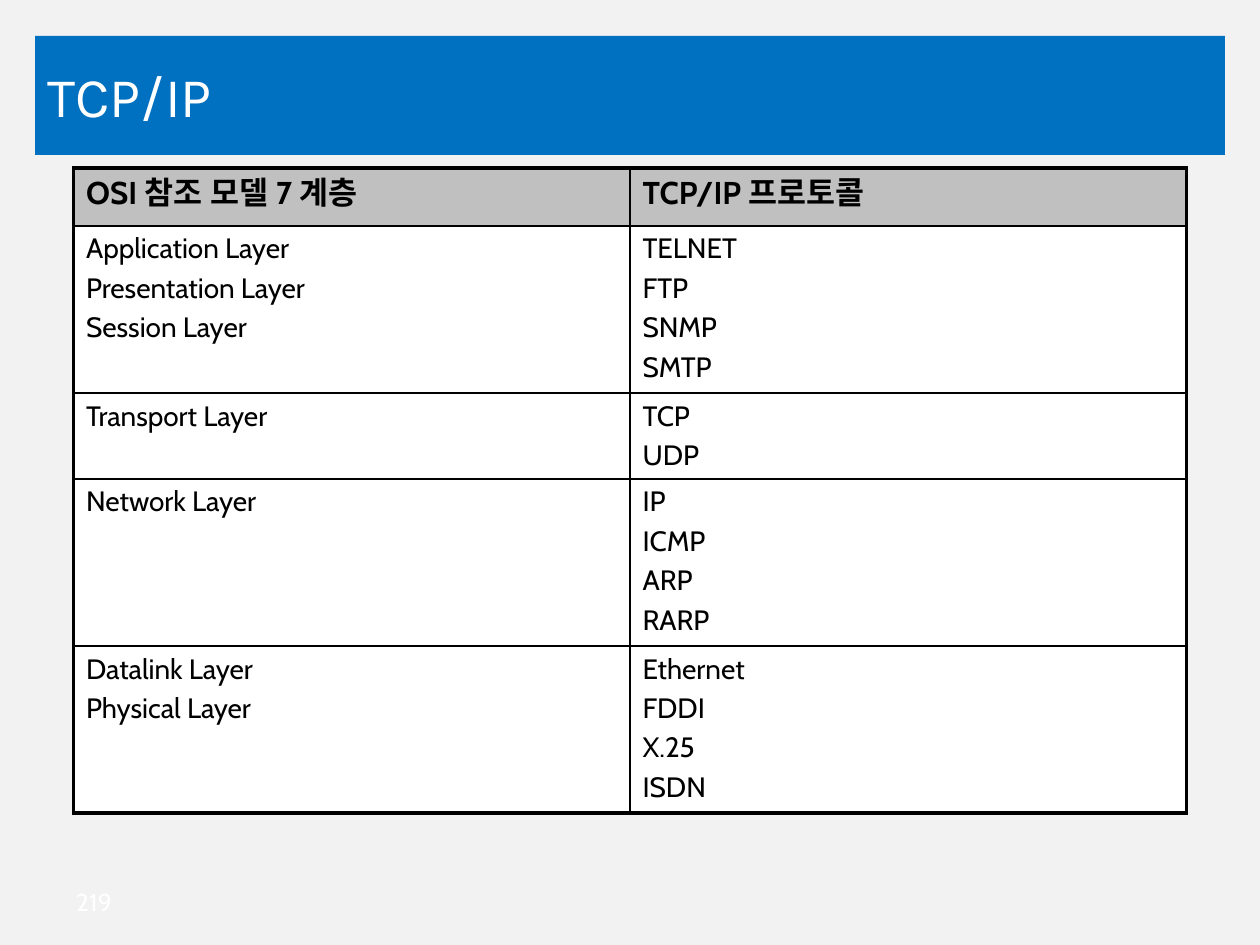
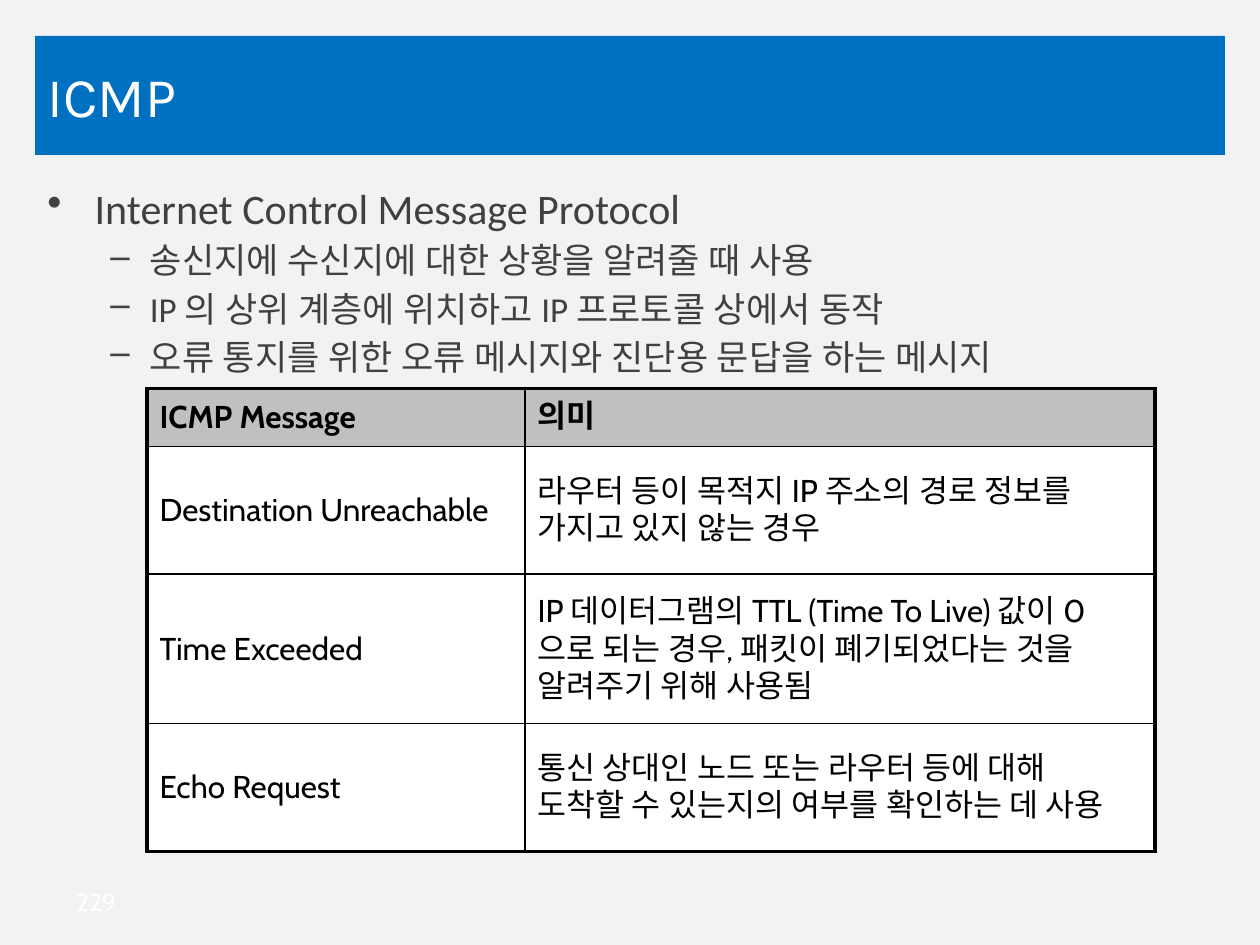
from dataclasses import dataclass

from lxml.etree import SubElement
from pptx import Presentation
from pptx.dml.color import RGBColor
from pptx.enum.text import MSO_ANCHOR, PP_ALIGN
from pptx.oxml.ns import qn
from pptx.util import Pt


@dataclass(frozen=True)
class Theme:
    page: str = "F2F2F2"
    band: str = "0070C0"
    light: str = "FFFFFF"
    header: str = "C0C0C0"
    ink: str = "000000"
    body: str = "404040"
    title_font: str = "Karla"
    table_font: str = "Cabin"
    body_font: str = "Calibri"
    korean_font: str = "Karla"
    title_size: int = 32
    point_size: int = 24
    subpoint_size: int = 20
    header_size: int = 18
    number_size: int = 14
    outer_line: float = 2.25
    inner_line: float = 1


THEME = Theme()
BAND = (20, 20.5, 680, 68)
NUMBER = (36.5, 501.5, 100, 27)
POINTS = (20, 100.5, 680, 120)

SLIDES = [
    {
        "title": "TCP/IP",
        "number": "219",
        "points": [],
        "grid": {
            "corner": (42, 96),
            "columns": (318, 318),
            "rows": (33, 95.5, 49, 95.5, 95.5),
            "size": 16,
            "anchor": MSO_ANCHOR.TOP,
            "cells": [
                ("OSI 참조 모델 7 계층", "TCP/IP 프로토콜"),
                ("Application Layer\nPresentation Layer\nSession Layer",
                 "TELNET\nFTP\nSNMP\nSMTP"),
                ("Transport Layer", "TCP\nUDP"),
                ("Network Layer", "IP\nICMP\nARP\nRARP"),
                ("Datalink Layer\nPhysical Layer",
                 "Ethernet\nFDDI\nX.25\nISDN"),
            ],
        },
    },
    {
        "title": "ICMP",
        "number": "229",
        "points": [
            (0, "Internet Control Message Protocol"),
            (1, "송신지에 수신지에 대한 상황을 알려줄 때 사용"),
            (1, "IP 의 상위 계층에 위치하고 IP 프로토콜 상에서 동작"),
            (1, "오류 통지를 위한 오류 메시지와 진단용 문답을 하는 메시지"),
        ],
        "grid": {
            "corner": (84, 222),
            "columns": (216, 360),
            "rows": (33, 73, 85.5, 73),
            "size": 18,
            "anchor": MSO_ANCHOR.MIDDLE,
            "cells": [
                ("ICMP Message", "의미"),
                ("Destination Unreachable",
                 "라우터 등이 목적지 IP 주소의 경로 정보를 가지고 있지 않는 경우"),
                ("Time Exceeded",
                 "IP 데이터그램의 TTL (Time To Live) 값이 0으로 되는 경우, "
                 "패킷이 폐기되었다는 것을 알려주기 위해 사용됨"),
                ("Echo Request",
                 "통신 상대인 노드 또는 라우터 등에 대해 "
                 "도착할 수 있는지의 여부를 확인하는 데 사용"),
            ],
        },
    },
]


def paint(fill, color):
    fill.solid()
    fill.fore_color.rgb = RGBColor.from_string(color)


def style(paragraph, font_name, size, color, bold=False):
    font = paragraph.font
    font.name, font.size, font.bold = font_name, Pt(size), bold
    font.color.rgb = RGBColor.from_string(color)
    SubElement(paragraph._p.pPr.find(qn("a:defRPr")), qn("a:ea"),
               typeface=THEME.korean_font)


def add_title(slide, text):
    title = slide.shapes.title
    title.left, title.top, title.width, title.height = map(Pt, BAND)
    paint(title.fill, THEME.band)
    title.text_frame.text = text
    title.text_frame.vertical_anchor = MSO_ANCHOR.MIDDLE
    heading = title.text_frame.paragraphs[0]
    heading.alignment = PP_ALIGN.LEFT
    style(heading, THEME.title_font, THEME.title_size, THEME.light)


def add_text(slide, box, text):
    frame = slide.shapes.add_textbox(*map(Pt, box)).text_frame
    frame.word_wrap = True
    frame.text = text
    return frame


def add_number(slide, text):
    frame = add_text(slide, NUMBER, text)
    frame.vertical_anchor = MSO_ANCHOR.MIDDLE
    style(frame.paragraphs[0], THEME.table_font, THEME.number_size, THEME.light)


def add_points(slide, points):
    levels = [(27, 27, "•", THEME.point_size), (58.5, 22.5, "–", THEME.subpoint_size)]
    frame = add_text(slide, POINTS, "\n".join(text for _, text in points))
    for paragraph, (level, _) in zip(frame.paragraphs, points):
        margin, hanging, bullet, size = levels[level]
        paragraph.level = level
        properties = paragraph._p.get_or_add_pPr()
        properties.set("marL", str(Pt(margin)))
        properties.set("indent", str(-Pt(hanging)))
        SubElement(properties, qn("a:buChar"), char=bullet)
        if level:
            paragraph.space_before = Pt(3.6)
        style(paragraph, THEME.body_font, size, THEME.body)


def add_borders(cell, outer_sides):
    properties = cell._tc.get_or_add_tcPr()
    for side in "LRTB":
        width = THEME.outer_line if side in outer_sides else THEME.inner_line
        line = SubElement(properties, qn(f"a:ln{side}"), w=str(Pt(width)))
        SubElement(SubElement(line, qn("a:solidFill")), qn("a:srgbClr"), val=THEME.ink)


def add_grid(slide, grid):
    columns, rows, cells = grid["columns"], grid["rows"], grid["cells"]
    table = slide.shapes.add_table(
        len(rows), len(columns), *map(Pt, (*grid["corner"], sum(columns), sum(rows)))
    ).table
    table.first_row = table.horz_banding = False
    for column, width in zip(table.columns, columns):
        column.width = Pt(width)
    for row, height in zip(table.rows, rows):
        row.height = Pt(height)
    for r, texts in enumerate(cells):
        for c, text in enumerate(texts):
            cell = table.cell(r, c)
            edges = {"L": c == 0, "R": c == len(columns) - 1,
                     "T": r == 0, "B": r == len(rows) - 1}
            add_borders(cell, [side for side, outer in edges.items() if outer])
            paint(cell.fill, THEME.light if r else THEME.header)
            cell.vertical_anchor = grid["anchor"]
            cell.margin_right = Pt(12)
            cell.text = text
            size = grid["size"] if r else THEME.header_size
            for i, paragraph in enumerate(cell.text_frame.paragraphs):
                if i:
                    paragraph.space_before = Pt(size * 0.2)
                style(paragraph, THEME.table_font, size, THEME.ink, bold=r == 0)


def main():
    deck = Presentation()
    deck.slide_width, deck.slide_height = Pt(720), Pt(540)
    paint(deck.slide_master.background.fill, THEME.page)
    for content in SLIDES:
        slide = deck.slides.add_slide(deck.slide_layouts[5])
        add_title(slide, content["title"])
        if content["points"]:
            add_points(slide, content["points"])
        add_grid(slide, content["grid"])
        add_number(slide, content["number"])
    deck.save("out.pptx")


if __name__ == "__main__":
    main()
